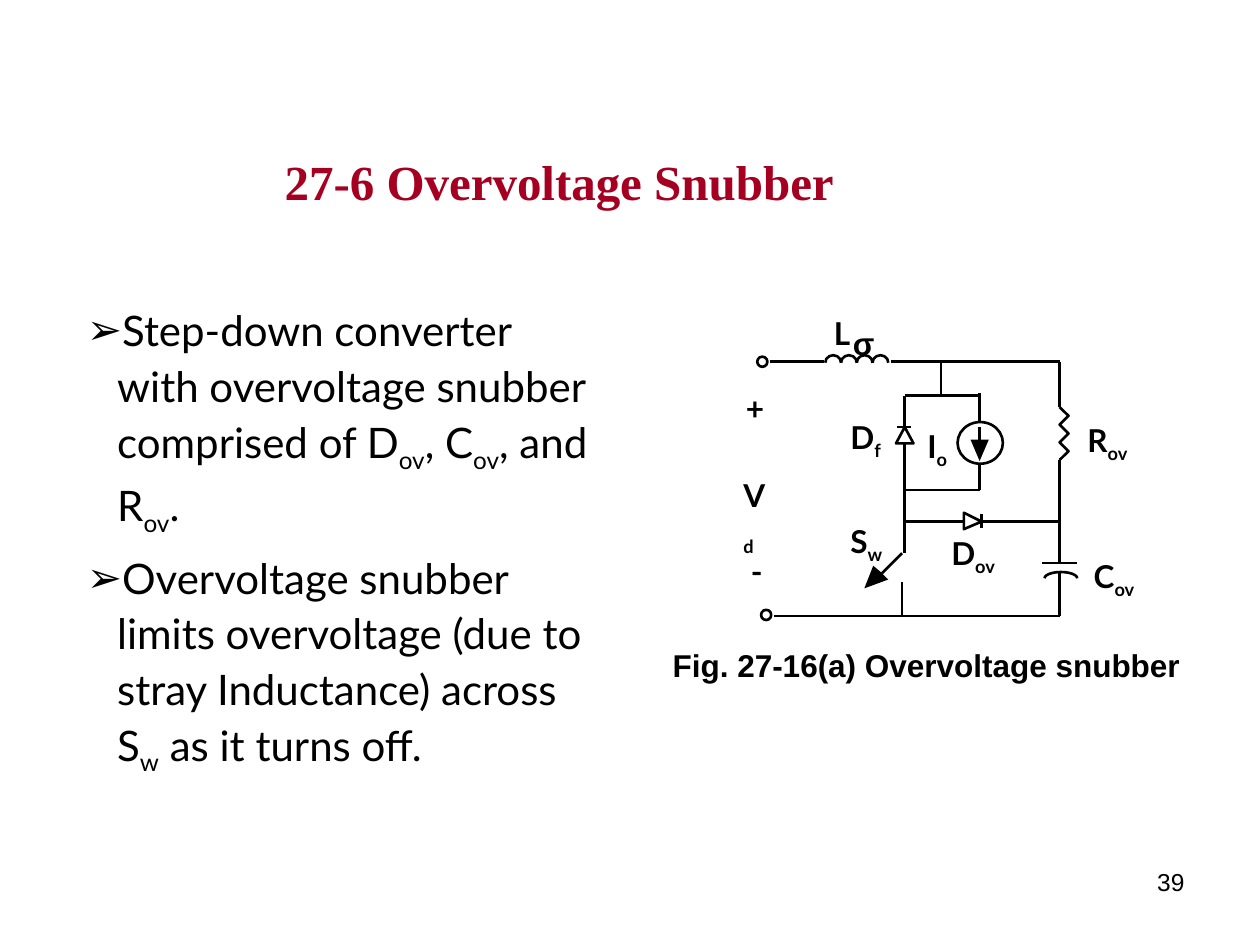
from lxml.etree import SubElement
from pptx import Presentation
from pptx.dml.color import RGBColor
from pptx.enum.shapes import MSO_CONNECTOR, MSO_SHAPE
from pptx.enum.text import MSO_ANCHOR, MSO_AUTO_SIZE, PP_ALIGN
from pptx.oxml.ns import qn
from pptx.util import Pt

COLORS = {"title": "A50021", "ink": "000000"}
LINE_WIDTH = 1.5
SUBSCRIPT = "-25000"

LEFT_X, LOAD_X, SOURCE_X, RIGHT_X = 517, 537.8, 559.8, 605.5
SWITCH_X = 515.5
TOP_Y, LOOP_TOP_Y, LOOP_BOTTOM_Y, SNUBBER_Y, BOTTOM_Y = 206.6, 226.1, 280.1, 298.1, 352.1
DIODE_TOP_Y, DIODE_BOTTOM_Y = 244.1, 253.4
DIODE_LEFT_X, DIODE_RIGHT_X = 550.8, 560.9

WIRES = [
    (440, TOP_Y, 470.9, TOP_Y),
    (509, TOP_Y, RIGHT_X, TOP_Y),
    (442.1, BOTTOM_Y, RIGHT_X, BOTTOM_Y),
    (LOAD_X, TOP_Y, LOAD_X, LOOP_TOP_Y),
    (LEFT_X, LOOP_TOP_Y, SOURCE_X, LOOP_TOP_Y),
    (LEFT_X, LOOP_BOTTOM_Y, SOURCE_X, LOOP_BOTTOM_Y),
    (SOURCE_X, 224.6, SOURCE_X, 241.2),
    (SOURCE_X, 265, SOURCE_X, LOOP_BOTTOM_Y),
    (SOURCE_X, 244.1, SOURCE_X, 252),
    (LEFT_X, LOOP_TOP_Y, LEFT_X, DIODE_TOP_Y),
    (LEFT_X, DIODE_BOTTOM_Y, LEFT_X, LOOP_BOTTOM_Y),
    (512.6, DIODE_TOP_Y, 520.6, DIODE_TOP_Y),
    (LEFT_X, LOOP_BOTTOM_Y, LEFT_X, 316.1),
    (SWITCH_X, 316.1, 504, 327.6),
    (SWITCH_X, 332.6, SWITCH_X, BOTTOM_Y),
    (LEFT_X, SNUBBER_Y, DIODE_LEFT_X, SNUBBER_Y),
    (DIODE_RIGHT_X, SNUBBER_Y, RIGHT_X, SNUBBER_Y),
    (DIODE_RIGHT_X, 293.8, DIODE_RIGHT_X, 301.7),
    (RIGHT_X, TOP_Y, RIGHT_X, 232.6),
    (RIGHT_X, 262.8, RIGHT_X, 321.8),
    (595.4, 321.8, 615.6, 321.8),
    (RIGHT_X, 326.9, RIGHT_X, BOTTOM_Y),
]

LABELS = [
    ("+", "", 426.2, 222.5, 10.1),
    ("-", "", 429.1, 315.4, 5.8),
    ("L", "", 476.6, 179.3, 10.1),
    ("D", "f", 486, 239, 17.3),
    ("I", "o", 529.9, 244.1, 13.7),
    ("R", "ov", 621.4, 240.5, 24.5),
    ("C", "ov", 625, 318.2, 23.8),
    ("D", "ov", 543.6, 305.3, 25.9),
    ("S", "w", 486, 298.1, 18.7),
]

BULLETS = [
    [("Step-down converter with overvoltage snubber comprised of D", False),
     ("ov", True), (", C", False), ("ov", True), (", and R", False),
     ("ov", True), (".", False)],
    [("Overvoltage snubber limits overvoltage (due to stray Inductance) across S", False),
     ("w", True), (" as it turns off.", False)],
]


def color(name):
    return RGBColor.from_string(COLORS[name])


def place(shape, left, top, width, height):
    shape.left, shape.top = Pt(left), Pt(top)
    shape.width, shape.height = Pt(width), Pt(height)


def add_run(paragraph, text, size, font_name, color_name="ink", bold=False, subscript=False):
    run = paragraph.add_run()
    run.text = text
    run.font.size = Pt(size)
    run.font.name = font_name
    run.font.bold = bold
    run.font.color.rgb = color(color_name)
    if subscript:
        run.font._element.set("baseline", SUBSCRIPT)


def prepare_frame(shape):
    frame = shape.text_frame
    frame.word_wrap = True
    frame.auto_size = MSO_AUTO_SIZE.NONE
    frame.vertical_anchor = MSO_ANCHOR.TOP
    return frame


def add_text(slide, text, left, top, width, height, size, bold=False, alignment=PP_ALIGN.LEFT):
    box = slide.shapes.add_textbox(Pt(left), Pt(top), Pt(width), Pt(height))
    paragraph = prepare_frame(box).paragraphs[0]
    paragraph.alignment = alignment
    add_run(paragraph, text, size, "Arial", bold=bold)


def add_label(slide, symbol, index, left, top, width, font_name="Lato", wrap=False):
    box = slide.shapes.add_textbox(Pt(left), Pt(top), Pt(width), Pt(24))
    frame = prepare_frame(box)
    frame.word_wrap = wrap
    frame.margin_left = frame.margin_right = frame.margin_top = frame.margin_bottom = 0
    paragraph = frame.paragraphs[0]
    add_run(paragraph, symbol, 18, font_name, bold=True)
    if index:
        add_run(paragraph, index, 18, font_name, bold=True, subscript=True)


def fill_title(slide):
    title = slide.shapes.title
    place(title, 155.5, 82.8, 362.9, 41)
    paragraph = prepare_frame(title).paragraphs[0]
    paragraph.alignment = PP_ALIGN.LEFT
    paragraph.space_before = Pt(0)
    add_run(paragraph, "27-6 Overvoltage Snubber", 28, "Times New Roman", "title", True)


def fill_bullets(slide):
    body = slide.placeholders[1]
    place(body, 42.5, 167.8, 306, 280)
    frame = prepare_frame(body)
    for position, runs in enumerate(BULLETS):
        paragraph = frame.add_paragraph() if position else frame.paragraphs[0]
        paragraph.line_spacing = 1.1
        paragraph.space_before = Pt(6 if position else 0)
        properties = paragraph._p.get_or_add_pPr()
        properties.set("marL", str(Pt(17.3)))
        properties.set("indent", str(-Pt(17.3)))
        bullet_color = SubElement(properties, qn("a:buClr"))
        SubElement(bullet_color, qn("a:srgbClr")).set("val", COLORS["ink"])
        SubElement(properties, qn("a:buFont")).set("typeface", "Arial")
        SubElement(properties, qn("a:buChar")).set("char", "➢")
        for text, subscript in runs:
            add_run(paragraph, text, 24, "Lato", subscript=subscript)


def set_stroke(shape):
    shape.line.color.rgb = color("ink")
    shape.line.width = Pt(LINE_WIDTH)


def add_wire(slide, start_x, start_y, end_x, end_y):
    wire = slide.shapes.add_connector(
        MSO_CONNECTOR.STRAIGHT, Pt(start_x), Pt(start_y), Pt(end_x), Pt(end_y))
    set_stroke(wire)
    SubElement(wire._element.spPr, qn("a:effectLst"))


def add_outline(slide, kind, left, top, width, height):
    shape = slide.shapes.add_shape(kind, Pt(left), Pt(top), Pt(width), Pt(height))
    shape.shadow.inherit = False
    shape.fill.background()
    set_stroke(shape)
    return shape


def add_half_arc(slide, left, top, width, height):
    arc = add_outline(slide, MSO_SHAPE.ARC, left, top, width, height)
    arc.adjustments[0] = 108
    arc.adjustments[1] = 0


def add_polygon(slide, points, closed=True, solid=False):
    corners = [(Pt(x), Pt(y)) for x, y in points]
    builder = slide.shapes.build_freeform(*corners[0])
    builder.add_line_segments(corners[1:], close=closed)
    shape = builder.convert_to_shape()
    shape.shadow.inherit = False
    if solid:
        shape.fill.solid()
        shape.fill.fore_color.rgb = color("ink")
        shape.line.fill.background()
    else:
        shape.fill.background()
        set_stroke(shape)


def draw_circuit(slide):
    for wire in WIRES:
        add_wire(slide, *wire)
    for hump in range(4):
        add_half_arc(slide, 471.6 + 9 * hump, 203, 9, 8.6)
    add_half_arc(slide, 596.9, 326.9, 18.7, 7.2)
    add_polygon(slide, [(RIGHT_X + 5.1 * (step % 2), 232.6 + 5.04 * step)
                        for step in range(7)], closed=False)
    add_polygon(slide, [(LEFT_X, DIODE_TOP_Y), (522, DIODE_BOTTOM_Y), (512, DIODE_BOTTOM_Y)])
    add_polygon(slide, [(DIODE_LEFT_X, 293), (DIODE_RIGHT_X, SNUBBER_Y), (DIODE_LEFT_X, 302.4)])
    add_polygon(slide, [(503.3, 326.9), (499, 323.3), (493.9, 336.2), (507.6, 331.2)], solid=True)
    add_polygon(slide, [(554.6, 251.3), (SOURCE_X, 263.5), (565, 251.3)], solid=True)
    add_outline(slide, MSO_SHAPE.OVAL, 547.2, 241.2, 25.9, 23.8)
    for left, top in [(432.7, 203.8), (434.9, 348.5)]:
        add_outline(slide, MSO_SHAPE.OVAL, left, top, 5.8, 5.8)
    for label in LABELS:
        add_label(slide, *label)
    add_label(slide, "σ", "", 487.4, 185, 10.8, font_name="Arial")
    add_label(slide, "V", "d", 424.8, 272.2, 14, wrap=True)


def main():
    presentation = Presentation()
    presentation.slide_width, presentation.slide_height = Pt(720), Pt(540)
    slide = presentation.slides.add_slide(presentation.slide_layouts[1])
    fill_title(slide)
    fill_bullets(slide)
    draw_circuit(slide)
    add_text(slide, "Fig. 27-16(a) Overvoltage snubber", 377.3, 365.8, 311.8, 28.8, 18, bold=True)
    add_text(slide, "39", 516.2, 491.8, 167.8, 37.4, 14, alignment=PP_ALIGN.RIGHT)
    presentation.save("out.pptx")


if __name__ == "__main__":
    main()
